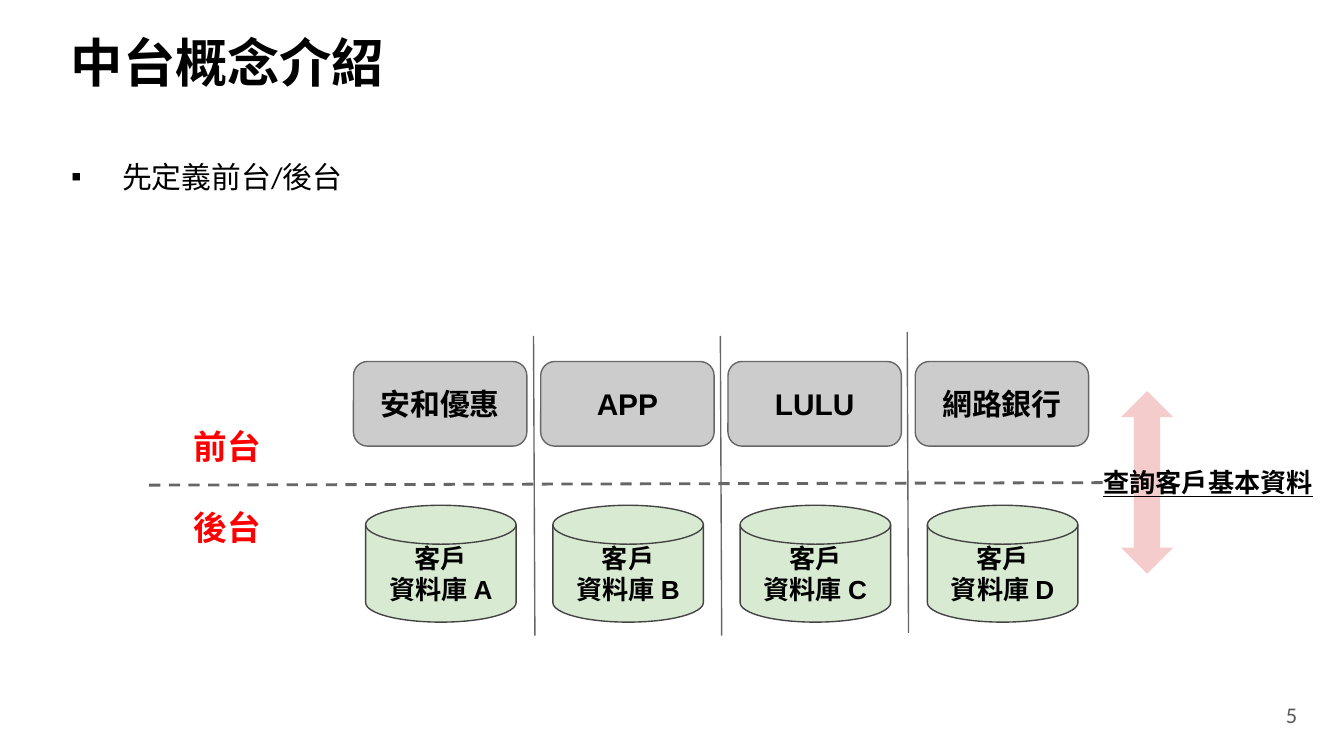
"""Build the slide that introduces the front-office and back-office concept."""
from lxml import etree
from pptx import Presentation
from pptx.dml.color import RGBColor
from pptx.enum.dml import MSO_LINE
from pptx.enum.shapes import MSO_CONNECTOR, MSO_SHAPE
from pptx.enum.text import MSO_ANCHOR, PP_ALIGN
from pptx.oxml.ns import qn
from pptx.util import Inches, Pt

STRAIGHT = MSO_CONNECTOR.STRAIGHT
DASH = MSO_LINE.DASH
ROUNDED = MSO_SHAPE.ROUNDED_RECTANGLE
DISK = MSO_SHAPE.FLOWCHART_MAGNETIC_DISK
UP_DOWN = MSO_SHAPE.UP_DOWN_ARROW
TOP, MIDDLE = MSO_ANCHOR.TOP, MSO_ANCHOR.MIDDLE
LEFT, CENTER, JUSTIFY = PP_ALIGN.LEFT, PP_ALIGN.CENTER, PP_ALIGN.JUSTIFY


def color(value):
    return RGBColor.from_string(value)


def write(shape, lines, ink, anchor, align, margin, **font_format):
    frame = shape.text_frame
    frame.word_wrap = True
    frame.vertical_anchor = anchor
    frame.margin_left = frame.margin_right = Inches(0.1)
    frame.margin_top = frame.margin_bottom = Inches(margin)
    frame.text = "\n".join(lines)
    for paragraph in frame.paragraphs:
        paragraph.alignment = align
        font = paragraph.runs[0].font
        font.color.rgb = color(ink)
        for name, value in font_format.items():
            setattr(font, name, value)


prs = Presentation()
prs.slide_width = Inches(10)
prs.slide_height = prs.slide_width * 9 // 16
slide = prs.slides.add_slide(prs.slide_layouts[6])
shapes = slide.shapes

heading = {"name": "Calibri", "size": Pt(28), "bold": True}
page = {"name": "Calibri", "size": Pt(12)}
body = {"name": "Calibri", "size": Pt(16)}
office = {"name": "Calibri", "size": Pt(18), "bold": True}
query = {"name": "Calibri", "size": Pt(14), "bold": True, "underline": True}
channel_font = {"name": "Arial", "size": Pt(16), "bold": True}
database_font = {"name": "Arial", "size": Pt(14), "bold": True}

title = shapes.add_textbox(Inches(0.43), Inches(0.23), Inches(9.13), Inches(0.46))
write(title, ["中台概念介紹"], "000000", MIDDLE, LEFT, 0.05, **heading)

page_number = shapes.add_textbox(Inches(9.47), Inches(5.16), Inches(0.53), Inches(0.31))
write(page_number, ["5"], "595959", MIDDLE, LEFT, 0.05, **page)

definition = shapes.add_textbox(Inches(0.43), Inches(1), Inches(9.29), Inches(0.56))
write(definition, ["先定義前台/後台"], "000000", TOP, JUSTIFY, 0.05, **body)
point = definition.text_frame.paragraphs[0]
point.line_spacing = 1.5
indents = point._p.get_or_add_pPr()
indents.set("marL", str(Inches(0.38)))
indents.set("indent", str(-Inches(0.38)))
etree.SubElement(indents, qn("a:buFont")).set("typeface", "Arial")
etree.SubElement(indents, qn("a:buChar")).set("char", "▪")

channels = ["安和優惠", "APP", "LULU", "網路銀行"]
for column, (channel, letter) in enumerate(zip(channels, "ABCD")):
    offset = 4.18 * column / 3
    for kind, left, top, width, height, fill, edge, lines, font_format in (
        (ROUNDED, 2.63, 2.69, 1.29, 0.63, "CCCCCC", "666666", [channel], channel_font),
        (DISK, 2.72, 3.76, 1.12, 0.87, "D9EAD3", "434343",
         ["客戶", f"資料庫 {letter}"], database_font),
    ):
        block = shapes.add_shape(
            kind, Inches(left + offset), Inches(top), Inches(width), Inches(height))
        block.shadow.inherit = False
        block.fill.solid()
        block.fill.fore_color.rgb = color(fill)
        block.line.color.rgb = color(edge)
        block.line.width = Pt(0.75)
        write(block, lines, "000000", MIDDLE, CENTER, 0.1, **font_format)

for x1, y1, x2, y2, weight, dash in (
    (1.11, 3.61, 8.72, 3.59, 1.5, DASH),
    (3.97, 2.5, 3.98, 4.73, 0.75, None),
    (5.36, 2.5, 5.37, 4.73, 0.75, None),
    (6.75, 2.47, 6.76, 4.71, 0.75, None),
):
    divider = shapes.add_connector(STRAIGHT, Inches(x1), Inches(y1), Inches(x2), Inches(y2))
    divider.line.color.rgb = color("666666")
    divider.line.width = Pt(weight)
    divider.line.dash_style = dash
    etree.SubElement(divider._element.spPr, qn("a:effectLst"))

exchange = shapes.add_shape(UP_DOWN, Inches(8.34), Inches(2.91), Inches(0.39), Inches(1.36))
exchange.shadow.inherit = False
exchange.fill.solid()
exchange.fill.fore_color.rgb = color("F4CCCC")
exchange.line.fill.background()

for label, left, top, width, height, ink, font_format in (
    ("前台", 1.2, 3.07, 0.98, 0.42, "FF0000", office),
    ("後台", 1.2, 3.67, 0.98, 0.42, "FF0000", office),
    ("查詢客戶基本資料", 8.1, 3.37, 1.78, 0.37, "000000", query),
):
    caption = shapes.add_textbox(Inches(left), Inches(top), Inches(width), Inches(height))
    write(caption, [label], ink, TOP, CENTER, 0.1, **font_format)

prs.save("out.pptx")
